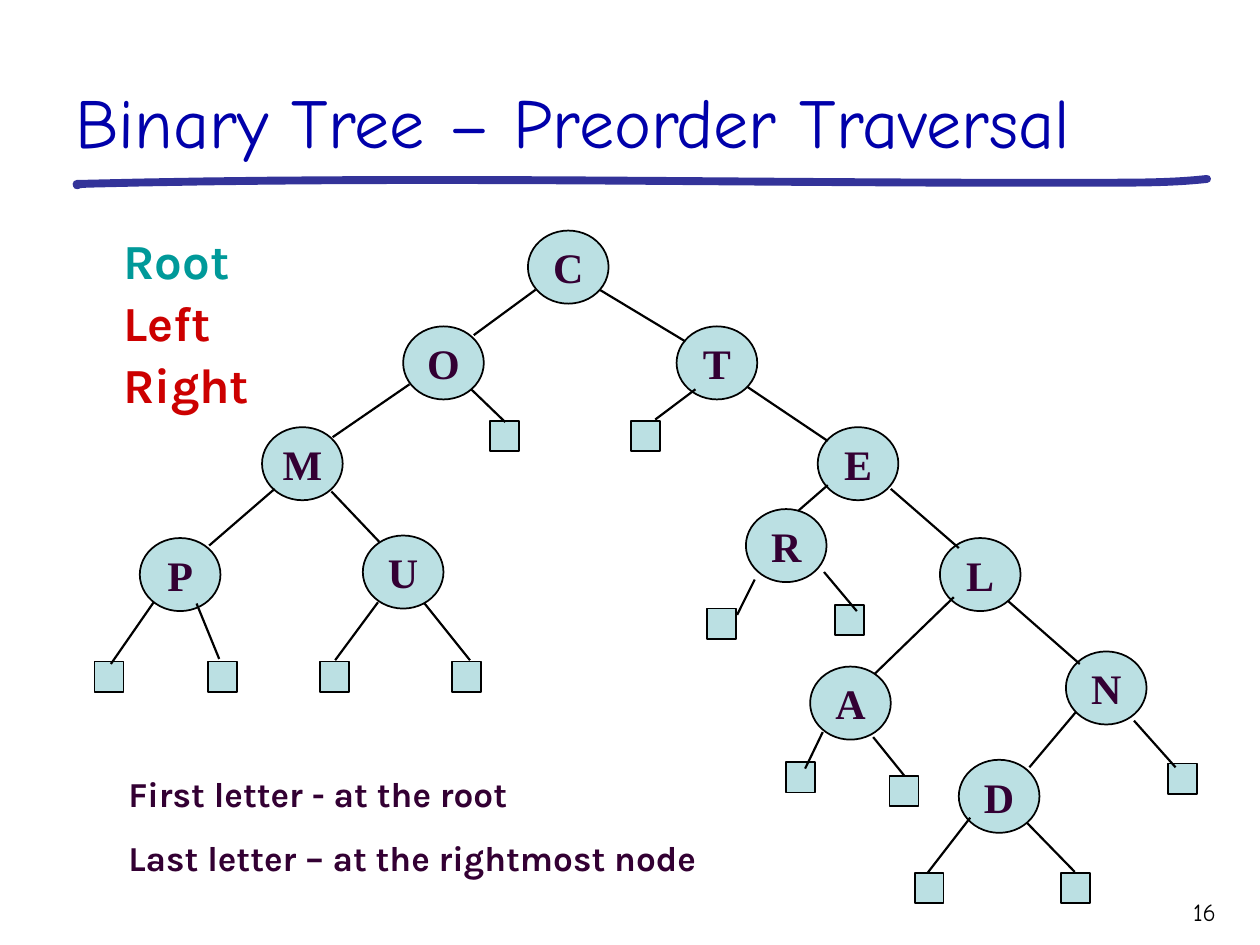
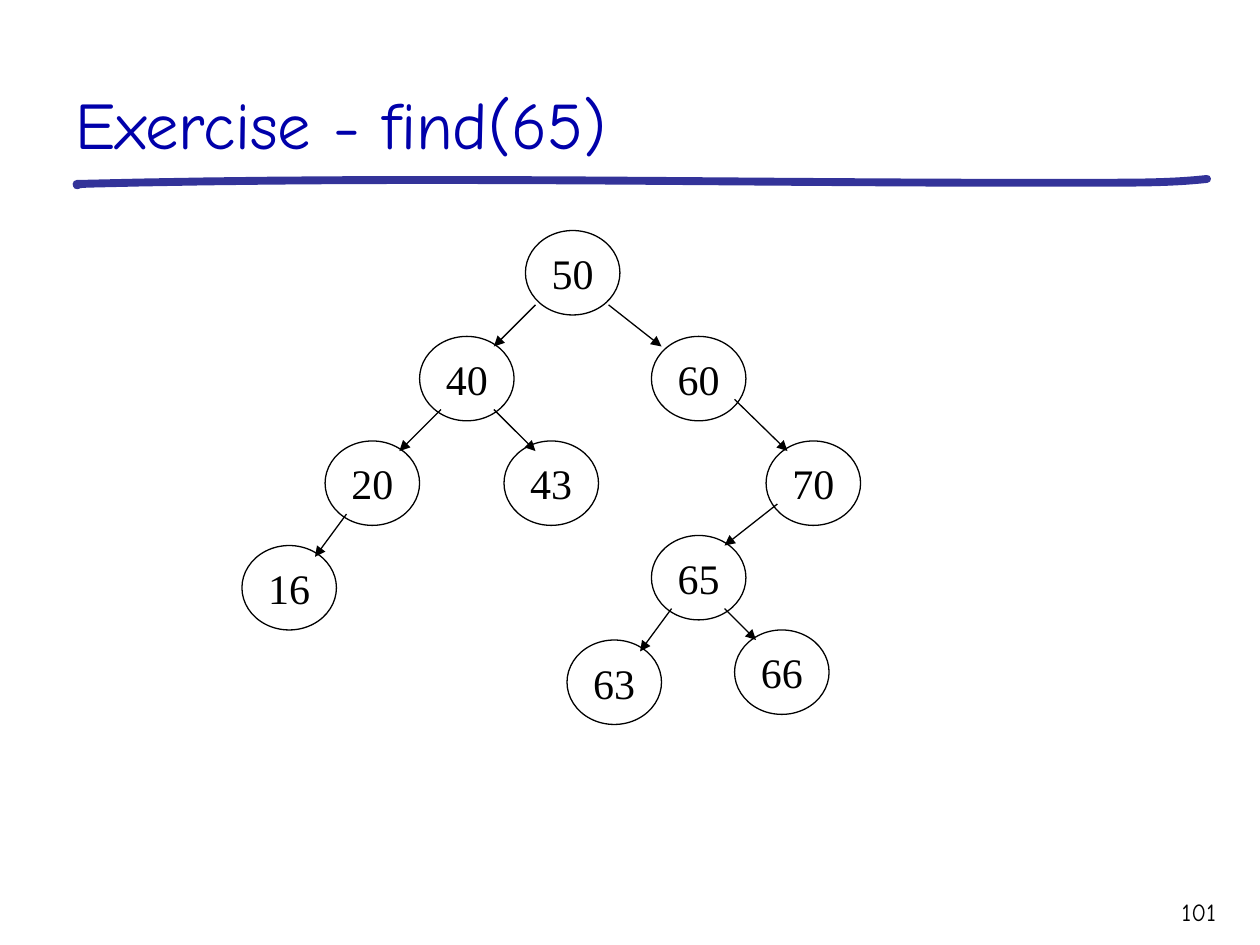
from lxml import etree
from pptx import Presentation
from pptx.dml.color import RGBColor
from pptx.enum.shapes import MSO_CONNECTOR, MSO_SHAPE
from pptx.enum.text import MSO_ANCHOR, PP_ALIGN
from pptx.oxml.ns import qn
from pptx.util import Inches, Pt

OVAL, SQUARE = MSO_SHAPE.OVAL, MSO_SHAPE.RECTANGLE
STRAIGHT = MSO_CONNECTOR.STRAIGHT
TOP, MIDDLE, BOTTOM = MSO_ANCHOR.TOP, MSO_ANCHOR.MIDDLE, MSO_ANCHOR.BOTTOM
LEFT, CENTER, RIGHT = PP_ALIGN.LEFT, PP_ALIGN.CENTER, PP_ALIGN.RIGHT

COLORS = {
    "title": "0000AA", "rule": "333399", "black": "000000", "node": "BBE0E3",
    "letter": "330033", "root": "009999", "branch": "CC0000",
}
TITLE_FONT, BODY_FONT, NODE_FONT = "Comic Neue", "Karla", "Times New Roman"

# Shared title rule: start point, then cubic segments (two controls and an end)
RULE_START = (0.68, 1.46)
RULE_CURVES = [
    ((0.66, 1.46), (0.63, 1.46), (0.61, 1.47)),
    ((0.63, 1.47), (0.6, 1.46), (0.61, 1.46)),
    ((3.33, 1.39), (6.05, 1.46), (8.76, 1.45)),
    ((9.04, 1.45), (9.31, 1.45), (9.58, 1.42)),
]
CURVE_STEPS = 16

# Preorder slide: node corners, empty-leaf corners and edges (from x, y, to x, y)
LETTER_TREE = {
    "nodes": {
        "C": (4.19, 1.83), "O": (3.2, 2.59), "T": (5.37, 2.59),
        "M": (2.08, 3.39), "E": (6.49, 3.39), "P": (1.11, 4.27),
        "U": (2.88, 4.25), "R": (5.92, 4.04), "L": (7.46, 4.27),
        "A": (6.43, 5.29), "N": (8.46, 5.17), "D": (7.61, 6.03),
    },
    "leaves": [
        (3.89, 3.34), (5.01, 3.34), (0.75, 5.25), (1.65, 5.25),
        (2.54, 5.25), (3.59, 5.25), (5.61, 4.83), (6.63, 4.8),
        (6.24, 6.05), (7.06, 6.16), (9.27, 6.06), (7.26, 6.93), (8.42, 6.93),
    ],
    "edges": [
        (4.25, 2.3, 3.76, 2.66), (4.76, 2.3, 5.44, 2.71),
        (3.25, 3.05, 2.64, 3.47), (3.74, 3.09, 4.01, 3.35),
        (5.52, 3.09, 5.2, 3.33), (5.93, 3.07, 6.57, 3.5),
        (2.18, 3.88, 1.66, 4.33), (2.63, 3.9, 3.01, 4.3),
        (6.57, 3.85, 6.34, 4.05), (7.07, 3.88, 7.61, 4.35),
        (1.22, 4.78, 0.88, 5.27), (1.56, 4.79, 1.74, 5.23),
        (3, 4.78, 2.66, 5.24), (3.37, 4.79, 3.73, 5.24),
        (5.99, 4.6, 5.85, 4.88), (6.54, 4.54, 6.8, 4.85),
        (7.57, 4.74, 6.94, 5.35), (8, 4.77, 8.57, 5.27),
        (6.53, 5.81, 6.39, 6.1), (6.93, 5.85, 7.18, 6.16),
        (8.54, 5.65, 8.17, 6.09), (9, 5.72, 9.33, 6.09),
        (7.7, 6.49, 7.36, 6.93), (8.15, 6.53, 8.53, 6.92),
    ],
    "node_size": (0.64, 0.58), "outline": 1, "edge_width": 1.25,
    "fill": "node", "ink": "letter", "bold": True, "arrows": False,
}
LEAF_SIZE = (0.23, 0.24)
VISIT_ORDER = [("Root", "root"), ("Left", "branch"), ("Right", "branch")]
LETTER_FACTS = [
    ("First letter - at the root", "letter"),
    ("Last letter – at the rightmost node", "letter"),
]

# Search slide: the same parts for the number tree
NUMBER_TREE = {
    "nodes": {
        "50": (4.17, 1.83), "40": (3.33, 2.67), "60": (5.17, 2.67),
        "20": (2.58, 3.5), "43": (4, 3.5), "70": (6.08, 3.5),
        "16": (1.92, 4.33), "65": (5.17, 4.25),
        "63": (4.5, 5.08), "66": (5.83, 5),
    },
    "leaves": [],
    "edges": [
        (4.25, 2.42, 3.92, 2.75), (4.83, 2.42, 5.25, 2.75),
        (3.5, 3.25, 3.17, 3.58), (3.92, 3.25, 4.25, 3.58),
        (5.83, 3.17, 6.25, 3.58), (2.75, 4.08, 2.5, 4.42),
        (6.17, 4, 5.75, 4.33), (5.33, 4.83, 5.08, 5.17),
        (5.75, 4.83, 6, 5.08),
    ],
    "node_size": (0.75, 0.67), "outline": 0.75, "edge_width": 0.75,
    "fill": None, "ink": "black", "bold": False, "arrows": True,
}


def rgb(color):
    return RGBColor.from_string(COLORS[color])


def set_line(line, color, width):
    line.color.rgb = rgb(color)
    line.width = Pt(width)


def write(frame, lines, font, align=LEFT, anchor=TOP, wrap=True, indent=0.1,
          spacing=None, before=0):
    """Fill a text frame with (text, colour) lines in one format."""
    frame.word_wrap = wrap
    frame.vertical_anchor = anchor
    frame.margin_left = Inches(indent)
    for i, (text, color) in enumerate(lines):
        paragraph = frame.paragraphs[0] if i == 0 else frame.add_paragraph()
        paragraph.alignment = align
        paragraph.line_spacing = spacing
        if i:
            paragraph.space_before = Pt(before)
        run = paragraph.add_run()
        run.text = text
        for name, value in font.items():
            setattr(run.font, name, value)
        run.font.color.rgb = rgb(color)


def add_text(slide, box, lines, font, **layout):
    frame = slide.shapes.add_textbox(*map(Inches, box)).text_frame
    write(frame, lines, font, **layout)


def curve_points():
    """Sample the title rule along its cubic segments."""
    start = RULE_START
    for first, second, end in RULE_CURVES:
        for step in range(1, CURVE_STEPS + 1):
            t = step / CURVE_STEPS
            weights = ((1 - t) ** 3, 3 * t * (1 - t) ** 2, 3 * t * t * (1 - t), t ** 3)
            corners = (start, first, second, end)
            yield tuple(Inches(sum(w * c[axis] for w, c in zip(weights, corners)))
                        for axis in (0, 1))
        start = end


def add_rule(slide):
    builder = slide.shapes.build_freeform(*map(Inches, RULE_START))
    builder.add_line_segments(list(curve_points()), close=False)
    rule = builder.convert_to_shape()
    rule.shadow.inherit = False
    rule.fill.background()
    set_line(rule.line, "rule", 4.5)
    outline = rule._element.spPr.find(qn("a:ln"))
    outline.set("cap", "rnd")
    etree.SubElement(outline, qn("a:round"))


def new_slide(deck, title, size, number):
    slide = deck.slides.add_slide(deck.slide_layouts[6])
    add_rule(slide)
    add_text(slide, (0.5, 0.17, 9.25, 1.17), [(title, "title")],
             {"name": TITLE_FONT, "size": Pt(size)}, anchor=BOTTOM)
    add_text(slide, (8.75, 7.07, 1, 0.35), [(number, "black")],
             {"name": TITLE_FONT, "size": Pt(14)}, align=RIGHT)
    return slide


def add_tree_part(slide, kind, corner, size, tree):
    part = slide.shapes.add_shape(kind, *map(Inches, corner + size))
    part.shadow.inherit = False
    if tree["fill"]:
        part.fill.solid()
        part.fill.fore_color.rgb = rgb(tree["fill"])
    else:
        part.fill.background()
    set_line(part.line, "black", tree["outline"])
    return part


def draw_tree(slide, tree):
    font = {"name": NODE_FONT, "size": Pt(24), "bold": tree["bold"]}
    for key, corner in tree["nodes"].items():
        node = add_tree_part(slide, OVAL, corner, tree["node_size"], tree)
        write(node.text_frame, [(key, tree["ink"])], font,
              align=CENTER, anchor=MIDDLE, wrap=False)
    for corner in tree["leaves"]:
        add_tree_part(slide, SQUARE, corner, LEAF_SIZE, tree)
    for ends in tree["edges"]:
        edge = slide.shapes.add_connector(STRAIGHT, *map(Inches, ends))
        set_line(edge.line, "black", tree["edge_width"])
        properties = edge._element.spPr
        if tree["arrows"]:
            etree.SubElement(properties.find(qn("a:ln")), qn("a:tailEnd"), type="triangle")
        etree.SubElement(properties, qn("a:effectLst"))


def main():
    deck = Presentation()
    deck.slide_width, deck.slide_height = Inches(10), Inches(7.5)

    # Preorder traversal
    preorder = new_slide(deck, "Binary Tree – Preorder Traversal", 40, "16")
    draw_tree(preorder, LETTER_TREE)
    add_text(preorder, (0.58, 1.83, 2.18, 1.51), VISIT_ORDER,
             {"name": BODY_FONT, "size": Pt(28), "bold": True},
             indent=0.4, spacing=0.9, before=5.2)
    add_text(preorder, (0.92, 6.08, 5.08, 0.94), LETTER_FACTS,
             {"name": BODY_FONT, "size": Pt(20), "bold": True}, before=12.5)

    # Search exercise
    search = new_slide(deck, "Exercise - find(65)", 38, "101")
    draw_tree(search, NUMBER_TREE)

    deck.save("out.pptx")


if __name__ == "__main__":
    main()
